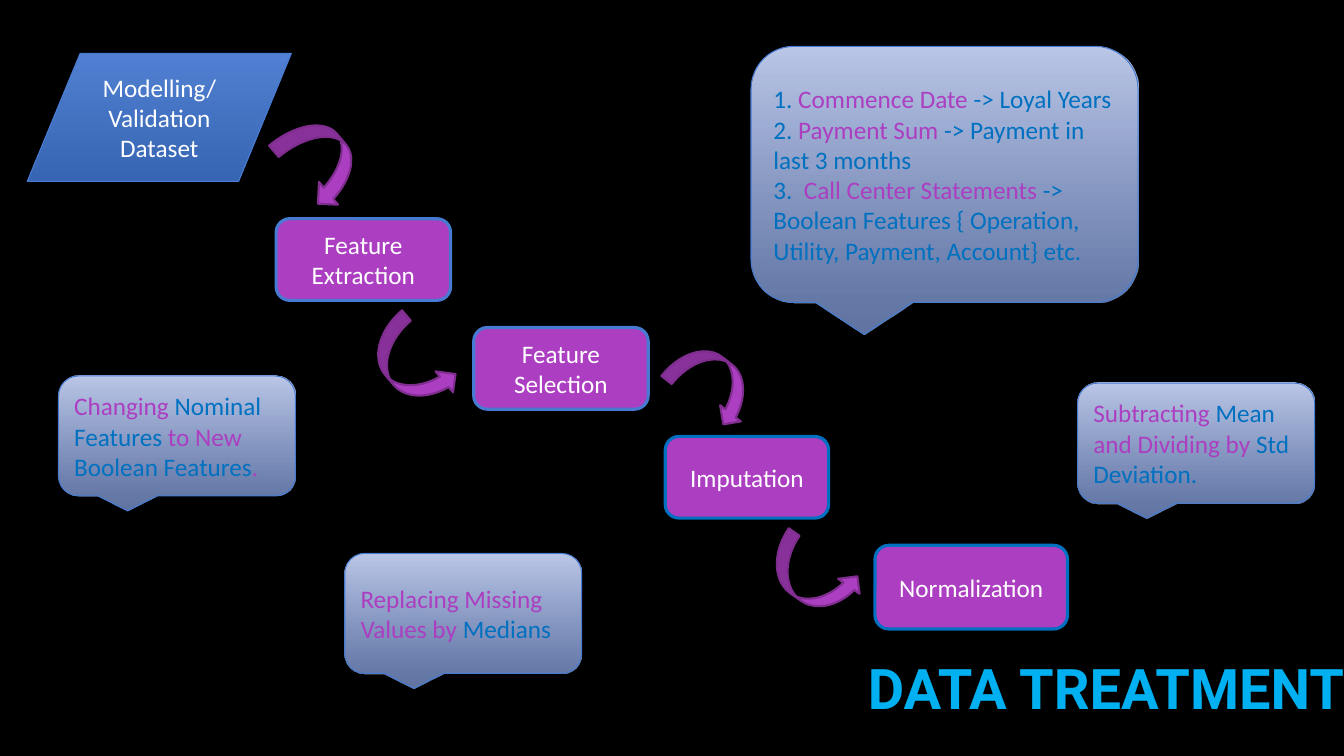
from lxml import etree
from pptx import Presentation
from pptx.dml.color import RGBColor
from pptx.enum.shapes import MSO_SHAPE
from pptx.enum.text import MSO_ANCHOR, PP_ALIGN
from pptx.oxml.ns import qn
from pptx.util import Inches, Pt

PARALLELOGRAM = MSO_SHAPE.FLOWCHART_DATA
ROUNDED = MSO_SHAPE.ROUNDED_RECTANGLE
CALLOUT = MSO_SHAPE.ROUNDED_RECTANGULAR_CALLOUT
CURVED_ARROW = MSO_SHAPE.CURVED_LEFT_ARROW
MIDDLE = MSO_ANCHOR.MIDDLE
LEFT, CENTER = PP_ALIGN.LEFT, PP_ALIGN.CENTER

BLACK = RGBColor(0x00, 0x00, 0x00)
WHITE = RGBColor(0xFF, 0xFF, 0xFF)
PURPLE = RGBColor(0xAC, 0x3E, 0xC1)
DARK_PURPLE = RGBColor(0x7F, 0x2E, 0x8F)
BLUE = RGBColor(0x00, 0x70, 0xC0)
EDGE_BLUE = RGBColor(0x47, 0x7B, 0xD1)
SKY_BLUE = RGBColor(0x00, 0xB0, 0xF0)
DATASET_TOP = RGBColor(0x51, 0x80, 0xD2)
DATASET_BOTTOM = RGBColor(0x36, 0x65, 0xB3)
CALLOUT_TOP = RGBColor(0xBC, 0xC8, 0xE9)
CALLOUT_BOTTOM = RGBColor(0x85, 0x9E, 0xDA)

WIDTH, HEIGHT = Inches(13.333), Inches(7.5)
BODY = {"name": "Calibri", "size": Pt(18)}
HEADING = {"name": "Roboto", "size": Pt(40), "bold": True}

# Places are left, top, width, height in percent of the slide's size.
TITLE_PLACE = (47.03, 84.93, 70.5, 11.87)
DATASET_PLACE = (2.03, 7.07, 19.65, 16.93)

# Each step of the staircase: text, left, width, height, outline
STEPS = [
    ("Feature Extraction", 20.55, 12.98, 10.8, EDGE_BLUE),
    ("Feature Selection", 35.25, 12.98, 10.8, EDGE_BLUE),
    ("Imputation", 49.5, 12.15, 10.8, BLUE),
    ("Normalization", 65.1, 14.33, 11.07, BLUE),
]
FIRST_STEP_TOP, STEP_PITCH = 28.93, 14.4

# Place, rotation, mirrored
ARROWS = [
    ((21.68, 15.33, 4.43, 12), 320, False),
    ((28.65, 41.87, 4.05, 12.8), 320, True),
    ((51.15, 44.67, 3.9, 12.13), 308, False),
    ((58.58, 70, 3.9, 12.8), 305, True),
]

# Place and paragraphs; words between asterisks are purple
SMALL_CALLOUT = (17.63, 15.87)
CALLOUTS = [
    ((55.88, 6.13, 28.8, 33.87), [
        "1. *Commence Date* -> Loyal Years",
        "2. *Payment Sum* -> Payment in last 3 months",
        "3.  *Call Center Statements* -> Boolean Features "
        "{ Operation, Utility, Payment, Account} etc.",
    ]),
    ((4.35, 49.73, *SMALL_CALLOUT),
     ["*Changing *Nominal Features* to New *Boolean Features*.*"]),
    ((25.65, 73.2, *SMALL_CALLOUT),
     ["*Replacing Missing Values by *Medians"]),
    ((80.18, 50.67, *SMALL_CALLOUT),
     ["*Subtracting *Mean* and Dividing by *Std Deviation."]),
]


def to_lengths(place):
    sides = (WIDTH, HEIGHT, WIDTH, HEIGHT)
    return [int(side * share / 100) for side, share in zip(sides, place)]


def apply_format(target, values):
    for name, value in values.items():
        setattr(target, name, value)


def write_text(shape, paragraphs, color, font_format, alignment=CENTER):
    """Write paragraphs, with the parts between asterisks in purple."""
    frame = shape.text_frame
    apply_format(frame, {"word_wrap": True, "vertical_anchor": MIDDLE})
    for index, text in enumerate(paragraphs):
        paragraph = frame.add_paragraph() if index else frame.paragraphs[0]
        paragraph.alignment = alignment
        for position, part in enumerate(text.split("*")):
            if part:
                run = paragraph.add_run()
                run.text = part
                apply_format(run.font, font_format)
                run.font.color.rgb = PURPLE if position % 2 else color


def add_outlined(slide, kind, place, line_color, line_width):
    shape = slide.shapes.add_shape(kind, *to_lengths(place))
    shape.shadow.inherit = False
    shape.line.color.rgb = line_color
    shape.line.width = Pt(line_width)
    return shape


def fill_solid(shape, color):
    shape.fill.solid()
    shape.fill.fore_color.rgb = color


def fill_downward(shape, top, bottom, bottom_opacity=100):
    """Fill with a gradient that runs from top to bottom."""
    shape.fill.gradient()
    shape.fill.gradient_angle = 270
    for stop, color in zip(shape.fill.gradient_stops, (top, bottom)):
        stop.color.rgb = color
    if bottom_opacity < 100:
        last_color = list(shape._element.spPr.iter(qn("a:srgbClr")))[1]
        alpha = etree.SubElement(last_color, qn("a:alpha"))
        alpha.set("val", str(bottom_opacity * 1000))


def add_title(slide, text):
    box = slide.shapes.add_textbox(*to_lengths(TITLE_PLACE))
    write_text(box, [text], SKY_BLUE, HEADING)


def add_dataset(slide, text):
    shape = add_outlined(slide, PARALLELOGRAM, DATASET_PLACE, EDGE_BLUE, 0.75)
    fill_downward(shape, DATASET_TOP, DATASET_BOTTOM)
    write_text(shape, [text], WHITE, BODY)


def add_step(slide, text, place, line_color):
    shape = add_outlined(slide, ROUNDED, place, line_color, 2.25)
    fill_solid(shape, PURPLE)
    write_text(shape, [text], WHITE, BODY)


def add_curved_arrow(slide, place, rotation, mirrored):
    arrow = add_outlined(slide, CURVED_ARROW, place, DARK_PURPLE, 1.5)
    fill_solid(arrow, PURPLE)
    arrow.rotation = rotation
    if mirrored:
        arrow._element.spPr.find(qn("a:xfrm")).set("flipH", "1")


def add_callout(slide, place, paragraphs):
    shape = add_outlined(slide, CALLOUT, place, EDGE_BLUE, 0.75)
    fill_downward(shape, CALLOUT_TOP, CALLOUT_BOTTOM, bottom_opacity=74)
    write_text(shape, paragraphs, BLUE, BODY, LEFT)


def main():
    presentation = Presentation()
    apply_format(presentation, {"slide_width": WIDTH, "slide_height": HEIGHT})
    slide = presentation.slides.add_slide(presentation.slide_layouts[6])
    fill_solid(slide.background, BLACK)

    add_title(slide, "DATA TREATMENT")
    add_dataset(slide, "Modelling/ Validation Dataset")
    for index, (text, left, width, height, line_color) in enumerate(STEPS):
        top = FIRST_STEP_TOP + index * STEP_PITCH
        add_step(slide, text, (left, top, width, height), line_color)
    for place, rotation, mirrored in ARROWS:
        add_curved_arrow(slide, place, rotation, mirrored)
    for place, paragraphs in CALLOUTS:
        add_callout(slide, place, paragraphs)

    presentation.save("out.pptx")


if __name__ == "__main__":
    main()
